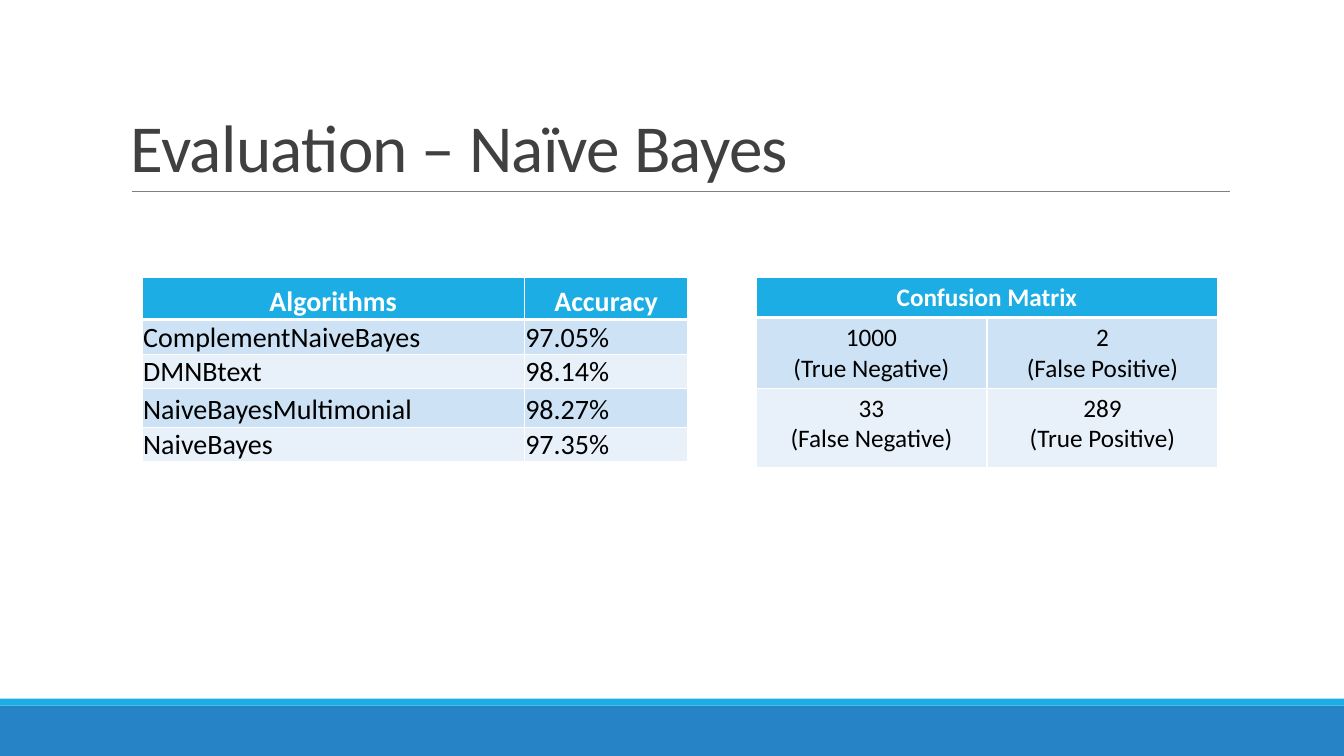
from dataclasses import dataclass

from lxml import etree
from pptx import Presentation
from pptx.dml.color import RGBColor
from pptx.enum import shapes, text
from pptx.oxml import ns
from pptx.util import Pt

FONT = "Calibri"
WHITE, BLACK, CYAN, BLUE = "FFFFFF", "000000", "1CADE4", "2683C6"
BANDS = ("CDE3F5", "E8F1FA")
SLIDE_WIDTH, SLIDE_HEIGHT = 960, 540


@dataclass(frozen=True)
class Bar:
    top: float
    height: float
    color: str


@dataclass(frozen=True)
class Grid:
    left: float
    top: float
    height: float
    columns: tuple[float, ...]
    rows: tuple[float, ...]
    cells: tuple[tuple[str, ...], ...]
    size: float
    body_align: text.PP_ALIGN
    anchor: text.MSO_ANCHOR
    margins: tuple[float, float, float, float]


FOOTER_BARS = (Bar(504, 36, BLUE), Bar(499, 5, CYAN))

ACCURACY = Grid(
    left=101.5, top=198, height=131, columns=(273, 117),
    rows=(30.24, 20.16, 23.76, 27.36, 5.04),
    cells=(
        ("Algorithms", "Accuracy"),
        ("ComplementNaiveBayes", "97.05%"),
        ("DMNBtext", "98.14%"),
        ("NaiveBayesMultimonial", "98.27%"),
        ("NaiveBayes", "97.35%"),
    ),
    size=20, body_align=text.PP_ALIGN.LEFT, anchor=text.MSO_ANCHOR.BOTTOM,
    margins=(0.75, 0.75, 0.75, 0),
)

CONFUSION = Grid(
    left=540, top=198, height=136, columns=(165, 165), rows=(28, 47, 57),
    cells=(
        ("Confusion Matrix",),
        ("1000\n(True Negative)", "2\n(False Positive)"),
        ("33\n(False Negative)", "289\n(True Positive)"),
    ),
    size=18, body_align=text.PP_ALIGN.CENTER, anchor=text.MSO_ANCHOR.TOP,
    margins=(7.2, 3.6, 7.2, 3.6),
)


def rgb(color: str) -> RGBColor:
    return RGBColor.from_string(color)


def style_font(paragraph, size: float, color: str, bold: bool = False) -> None:
    font = paragraph.font
    font.name, font.size, font.bold = FONT, Pt(size), bold
    font.color.rgb = rgb(color)


def draw_bar(slide, bar: Bar) -> None:
    strip = slide.shapes.add_shape(
        shapes.MSO_SHAPE.RECTANGLE, 0, Pt(bar.top), Pt(SLIDE_WIDTH), Pt(bar.height))
    strip.shadow.inherit = False
    strip.fill.solid()
    strip.fill.fore_color.rgb = rgb(bar.color)
    strip.line.fill.background()


def draw_title(slide, wording: str) -> None:
    rule = slide.shapes.add_connector(
        shapes.MSO_CONNECTOR.STRAIGHT, Pt(94), Pt(136.8), Pt(878.4), Pt(136.8))
    rule.line.color.rgb = rgb("808080")
    rule.line.width = Pt(0.5)
    etree.SubElement(rule._element.spPr, ns.qn("a:effectLst"))

    title = slide.shapes.add_textbox(Pt(86.4), Pt(22.5), Pt(792), Pt(114.2))
    frame = title.text_frame
    frame.word_wrap = True
    frame.vertical_anchor = text.MSO_ANCHOR.BOTTOM
    heading = frame.paragraphs[0]
    heading.line_spacing = 0.85
    run = heading.add_run()
    run.text = wording
    run._r.get_or_add_rPr().set("spc", "-50")
    style_font(heading, 48, "404040")


def set_borders(cell, row: int) -> None:
    widths = {"L": 1, "R": 1, "T": 3 if row == 1 else 1, "B": 3 if row == 0 else 1}
    properties = cell._tc.get_or_add_tcPr()
    for side, width in widths.items():
        border = etree.SubElement(properties, ns.qn(f"a:ln{side}"), w=str(Pt(width)))
        fill = etree.SubElement(border, ns.qn("a:solidFill"))
        etree.SubElement(fill, ns.qn("a:srgbClr"), val=WHITE)


def fill_cell(cell, row: int, wording: str, grid: Grid) -> None:
    header = row == 0
    set_borders(cell, row)
    cell.fill.solid()
    cell.fill.fore_color.rgb = rgb(CYAN if header else BANDS[(row - 1) % 2])
    cell.vertical_anchor = grid.anchor
    (cell.margin_left, cell.margin_top,
     cell.margin_right, cell.margin_bottom) = map(Pt, grid.margins)
    cell.text = wording
    for paragraph in cell.text_frame.paragraphs:
        paragraph.alignment = text.PP_ALIGN.CENTER if header else grid.body_align
        style_font(paragraph, grid.size, WHITE if header else BLACK, header)


def draw_grid(slide, grid: Grid) -> None:
    frame = slide.shapes.add_table(
        len(grid.rows), len(grid.columns), Pt(grid.left), Pt(grid.top),
        Pt(sum(grid.columns)), Pt(grid.height))
    table = frame.table
    for column, width in zip(table.columns, grid.columns):
        column.width = Pt(width)
    for row, height in zip(table.rows, grid.rows):
        row.height = Pt(height)
    frame.height = Pt(grid.height)
    last = len(grid.columns) - 1
    for row, wordings in enumerate(grid.cells):
        if len(wordings) == 1:
            table.cell(row, 0).merge(table.cell(row, last))
        for column in range(last + 1):
            wording = wordings[column] if column < len(wordings) else ""
            fill_cell(table.cell(row, column), row, wording, grid)


def main() -> None:
    deck = Presentation()
    deck.slide_width, deck.slide_height = Pt(SLIDE_WIDTH), Pt(SLIDE_HEIGHT)
    slide = deck.slides.add_slide(deck.slide_layouts[6])
    for bar in FOOTER_BARS:
        draw_bar(slide, bar)
    draw_title(slide, "Evaluation – Naïve Bayes")
    for grid in (ACCURACY, CONFUSION):
        draw_grid(slide, grid)
    deck.save("out.pptx")


if __name__ == "__main__":
    main()
